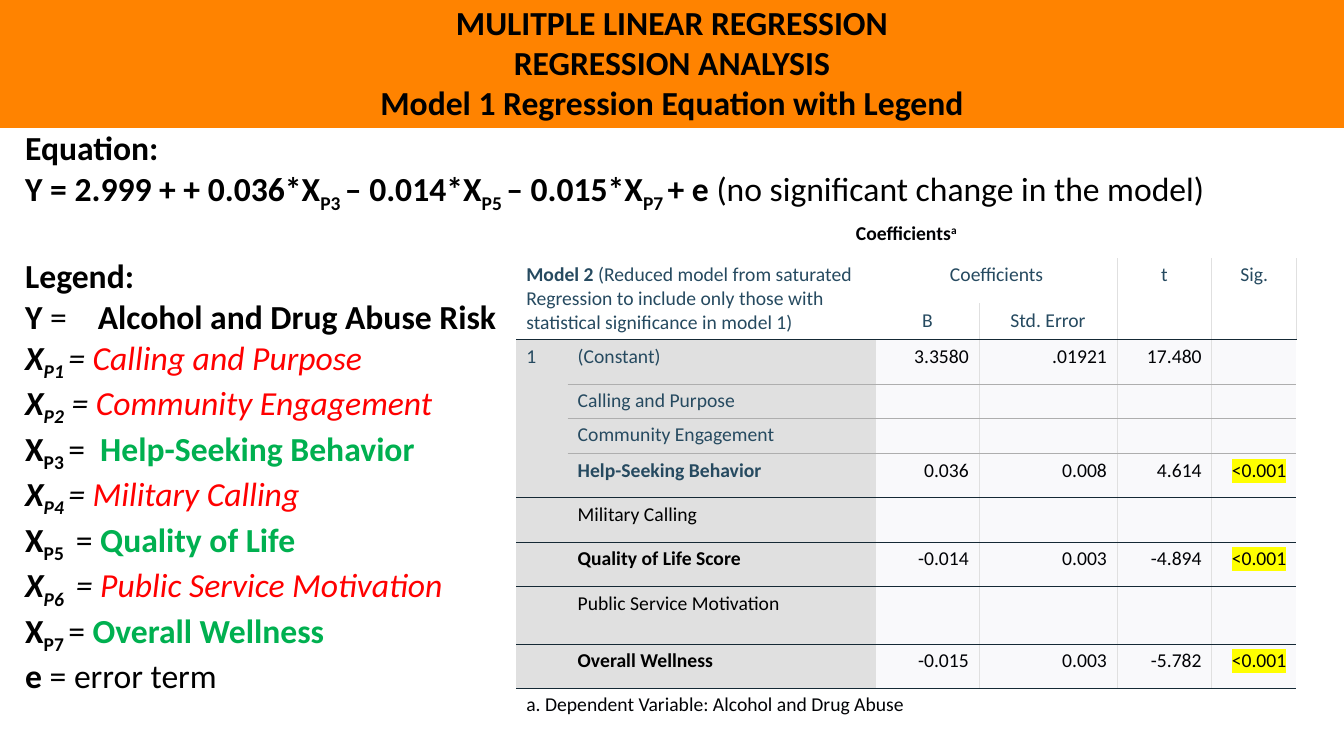
from lxml.etree import SubElement
from pptx import Presentation
from pptx.dml.color import RGBColor
from pptx.enum.text import MSO_ANCHOR, MSO_AUTO_SIZE, PP_ALIGN
from pptx.oxml.ns import qn
from pptx.util import Inches, Pt

ORANGE = RGBColor(0xFF, 0x83, 0x00)
WHITE = RGBColor(0xFF, 0xFF, 0xFF)
BLACK = RGBColor(0x00, 0x00, 0x00)
RED = RGBColor(0xFF, 0x00, 0x00)
GREEN = RGBColor(0x00, 0xB0, 0x50)
YELLOW = RGBColor(0xFF, 0xFF, 0x00)
SLATE = RGBColor(0x26, 0x4A, 0x60)
INK = RGBColor(0x01, 0x02, 0x05)
NAVY = RGBColor(0x15, 0x29, 0x35)
GRAY = RGBColor(0xAE, 0xAE, 0xAE)
LIGHT_GRAY = RGBColor(0xE0, 0xE0, 0xE0)
PALE = RGBColor(0xF9, 0xF9, 0xFB)

FONT = "Calibri"
NO_STYLE = "{2D5ABB26-0587-4C30-8999-92F81FD0307C}"
BOLD = {"bold": True}
SUBSCRIPT = {"bold": True, "baseline": -25}

# Legend entries: index, equals sign, meaning, kept in the model
LEGEND = [
    ("P1 ", "= ", "Calling and Purpose", False),
    ("P2", " = ", "Community Engagement", False),
    ("P3 ", "=  ", "Help-Seeking Behavior", True),
    ("P4 ", "= ", "Military Calling", False),
    ("P5 ", " = ", "Quality of Life", True),
    ("P6 ", " = ", "Public Service Motivation", False),
    ("P7 ", "= ", "Overall Wellness", True),
]

# Coefficient rows: predictor, B, standard error, t, significance
PREDICTORS = [
    ("(Constant)", "3.3580", ".01921", "17.480", ""),
    ("Calling and Purpose", "", "", "", ""),
    ("Community Engagement", "", "", "", ""),
    ("Help-Seeking Behavior", "0.036", "0.008", "4.614", "<0.001"),
    ("Military Calling", "", "", "", ""),
    ("Quality of Life Score", "-0.014", "0.003", "-4.894", "<0.001"),
    ("Public Service Motivation", "", "", "", ""),
    ("Overall Wellness", "-0.015", "0.003", "-5.782", "<0.001"),
]
COLUMN_WIDTHS = [0.51, 3.06, 1.02, 1.37, 0.94, 0.84]
ROW_HEIGHTS = [0.41, 0.45, 0.36, 0.44, 0.34, 0.35, 0.44, 0.44, 0.44, 0.57, 0.44, 0.34]
FIRST_BODY, FOOTNOTE = 3, 11
MERGES = [(0, 0, 0, 5), (1, 0, 2, 1), (1, 2, 1, 3), (1, 4, 2, 4),
          (1, 5, 2, 5), (3, 0, 6, 0), (11, 0, 11, 5)]


def add_run(paragraph, text, size, color=BLACK, bold=False, italic=False,
            baseline=0, highlight=None):
    run = paragraph.add_run()
    run.text = text
    formats = {"name": FONT, "size": Pt(size), "bold": bold, "italic": italic}
    for attribute, value in formats.items():
        setattr(run.font, attribute, value)
    run.font.color.rgb = color
    properties = run._r.get_or_add_rPr()
    if baseline:
        properties.set("baseline", str(baseline * 1000))
    if highlight is not None:
        mark = SubElement(properties, qn("a:highlight"))
        SubElement(mark, qn("a:srgbClr"), val=str(highlight))
        properties.find(qn("a:solidFill")).addnext(mark)


def write_paragraphs(frame, paragraphs, size, alignment=PP_ALIGN.LEFT):
    """Each paragraph is a list of (text, format) pairs."""
    for number, runs in enumerate(paragraphs):
        paragraph = frame.paragraphs[0] if number == 0 else frame.add_paragraph()
        paragraph.alignment = alignment
        for text, formats in runs:
            add_run(paragraph, text, size, **formats)


def set_empty_size(cell, size):
    SubElement(cell.text_frame.paragraphs[0]._p, qn("a:endParaRPr"), sz=str(size * 100))


def set_borders(cell, colors, width):
    properties = cell._tc.get_or_add_tcPr()
    for side in "LRTB":
        if colors.get(side) is not None:
            line = SubElement(properties, qn(f"a:ln{side}"), w=str(Pt(width)))
            fill = SubElement(line, qn("a:solidFill"))
            SubElement(fill, qn("a:srgbClr"), val=str(colors[side]))


def fill_cell(cell, color):
    cell.fill.solid()
    cell.fill.fore_color.rgb = color


def add_plain_table(slide, left, top, widths, heights):
    table = slide.shapes.add_table(
        len(heights), len(widths), Inches(left), Inches(top),
        Inches(sum(widths)), Inches(sum(heights))).table
    table.first_row = table.horz_banding = False
    table._tbl.tblPr.find(qn("a:tableStyleId")).text = NO_STYLE
    for column, width in zip(table.columns, widths):
        column.width = Inches(width)
    for row, height in zip(table.rows, heights):
        row.height = Inches(height)
    return table


def add_title(slide, lines):
    title = slide.shapes.title
    box = {"left": 0, "top": -0.04, "width": 13.33, "height": 1.31}
    for attribute, value in box.items():
        setattr(title, attribute, Inches(value))
    title.fill.solid()
    title.fill.fore_color.rgb = ORANGE
    frame = title.text_frame
    frame.auto_size = MSO_AUTO_SIZE.NONE
    frame.vertical_anchor = MSO_ANCHOR.MIDDLE
    write_paragraphs(frame, [[(line, BOLD)] for line in lines], 24, PP_ALIGN.CENTER)


def legend_line(index, equals, meaning, kept):
    slant = {"italic": not kept}
    color = GREEN if kept else RED
    return [("X", BOLD | slant), (index, SUBSCRIPT | slant), (equals, slant),
            (meaning, {"bold": kept, "color": color} | slant)]


def add_equation_table(slide):
    table = add_plain_table(slide, 0.13, 1.28, [12.95], [5.67, 0.46])
    for cell in table.iter_cells():
        set_borders(cell, dict.fromkeys("LRTB", WHITE), 1)
        fill_cell(cell, WHITE)
    cell = table.cell(0, 0)
    margins = {"margin_left": 0.12, "margin_top": 0, "margin_right": 0.12, "margin_bottom": 0}
    for attribute, value in margins.items():
        setattr(cell, attribute, Inches(value))
    equation = [("Y = 2.999 + + 0.036*X", BOLD), ("P3 ", SUBSCRIPT),
                ("– 0.014*X", BOLD), ("P5 ", SUBSCRIPT),
                ("– 0.015*X", BOLD), ("P7 ", SUBSCRIPT), ("+ e ", BOLD),
                ("(no significant change in the model)", {})]
    outcome = [("Y ", BOLD), ("=\t", {}), ("Alcohol and Drug Abuse Risk", BOLD)]
    write_paragraphs(cell.text_frame, [
        [("Equation:", BOLD)], equation, [("Legend:", BOLD)], outcome,
        *[legend_line(*entry) for entry in LEGEND],
        [("e ", BOLD), ("= error term", {})]], 24)
    legend_heading, outcome_line = cell.text_frame.paragraphs[2:4]
    legend_heading.space_before = Pt(29)
    tabs = SubElement(outcome_line._p.get_or_add_pPr(), qn("a:tabLst"))
    SubElement(tabs, qn("a:tab"), pos=str(Inches(0.72)), algn="l")


def line_below(row, column):
    if row < 2:
        return NAVY if row == 1 and column in (0, 1, 4, 5) else None
    if FIRST_BODY <= row < FIRST_BODY + 3:
        return GRAY if column else NAVY
    return NAVY if row < FOOTNOTE else None


def line_right(row, column):
    first_row = {2: 2, 3: 1, 4: 1}.get(column, FOOTNOTE)
    return LIGHT_GRAY if first_row <= row < FOOTNOTE else None


def style_coefficient_cell(cell, row, column):
    above = line_below(row - 1, column) if row > 2 else None
    if column == 0 and FIRST_BODY < row < FIRST_BODY + 4:
        above = None
    set_borders(cell, {"L": line_right(row, column - 1), "R": line_right(row, column),
                       "T": above, "B": line_below(row, column)}, 0.75)
    body_color = LIGHT_GRAY if column < 2 else PALE
    fill_cell(cell, body_color if FIRST_BODY <= row < FOOTNOTE else WHITE)


def add_coefficient_table(slide):
    table = add_plain_table(slide, 5.12, 2.15, COLUMN_WIDTHS, ROW_HEIGHTS)
    slate = {"color": SLATE}
    ink = {"color": INK}

    # Title, column heads and footnote
    texts = {
        (0, 0): ([[("Coefficients", ink | BOLD),
                   ("a", ink | BOLD | {"baseline": 30})]], PP_ALIGN.CENTER),
        (1, 0): ([[("Model 2 ", slate | BOLD), ("(Reduced model from saturated", slate)],
                  [("Regression to include only those with statistical "
                    "significance in model 1)", slate)]], PP_ALIGN.LEFT),
        (3, 0): ([[("1", slate)]], PP_ALIGN.LEFT),
        (FOOTNOTE, 0): ([[("a. Dependent Variable: Alcohol and Drug Abuse", ink)]],
                        PP_ALIGN.LEFT),
    }
    heads = {(1, 2): "Coefficients", (1, 4): "t", (1, 5): "Sig.",
             (2, 2): "B", (2, 3): "Std. Error"}
    for place, head in heads.items():
        texts[place] = ([[(head, slate)]], PP_ALIGN.CENTER)

    # Predictors and their values
    for row, (name, *values) in enumerate(PREDICTORS, FIRST_BODY):
        name_format = {"color": SLATE if row < FIRST_BODY + 4 else BLACK,
                       "bold": bool(values[-1])}
        texts[row, 1] = ([[(name, name_format)]], PP_ALIGN.LEFT)
        for column, value in enumerate(values, 2):
            if value:
                mark = {"highlight": YELLOW} if column == 5 else {}
                texts[row, column] = ([[(value, ink | mark)]], PP_ALIGN.RIGHT)

    for row in range(len(ROW_HEIGHTS)):
        for column in range(len(COLUMN_WIDTHS)):
            cell = table.cell(row, column)
            style_coefficient_cell(cell, row, column)
            if (row, column) in texts:
                paragraphs, alignment = texts[row, column]
                write_paragraphs(cell.text_frame, paragraphs, 14, alignment)
            else:
                set_empty_size(cell, 14)
    for top, left, bottom, right in MERGES:
        table.cell(top, left).merge(table.cell(bottom, right))


def main():
    presentation = Presentation()
    presentation.slide_width = Inches(13.33)
    presentation.slide_height = Inches(7.5)
    slide = presentation.slides.add_slide(presentation.slide_layouts[5])
    add_title(slide, ["MULITPLE LINEAR REGRESSION", "REGRESSION ANALYSIS",
                      "Model 1 Regression Equation with Legend"])
    add_equation_table(slide)
    add_coefficient_table(slide)
    presentation.save("out.pptx")


if __name__ == "__main__":
    main()
